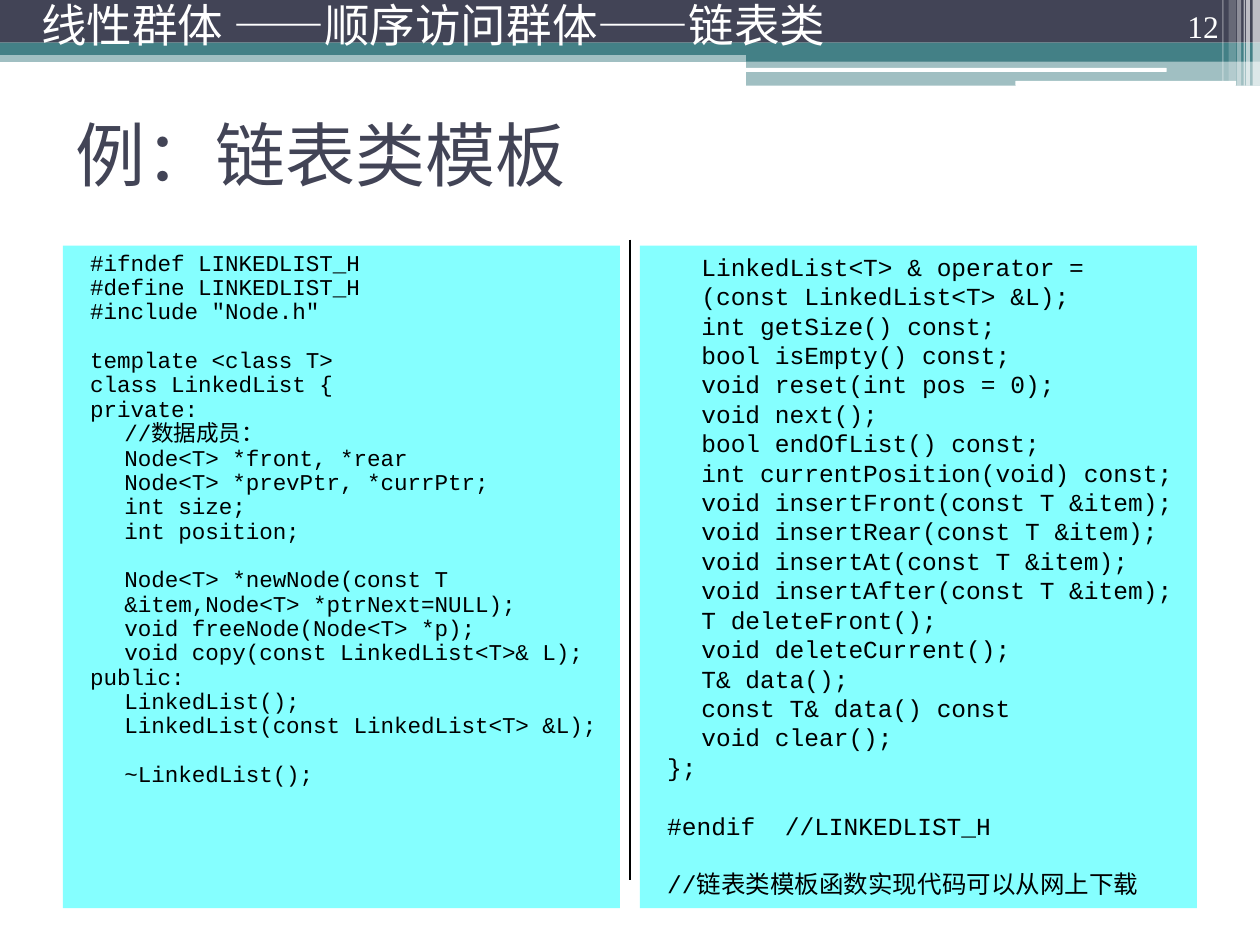
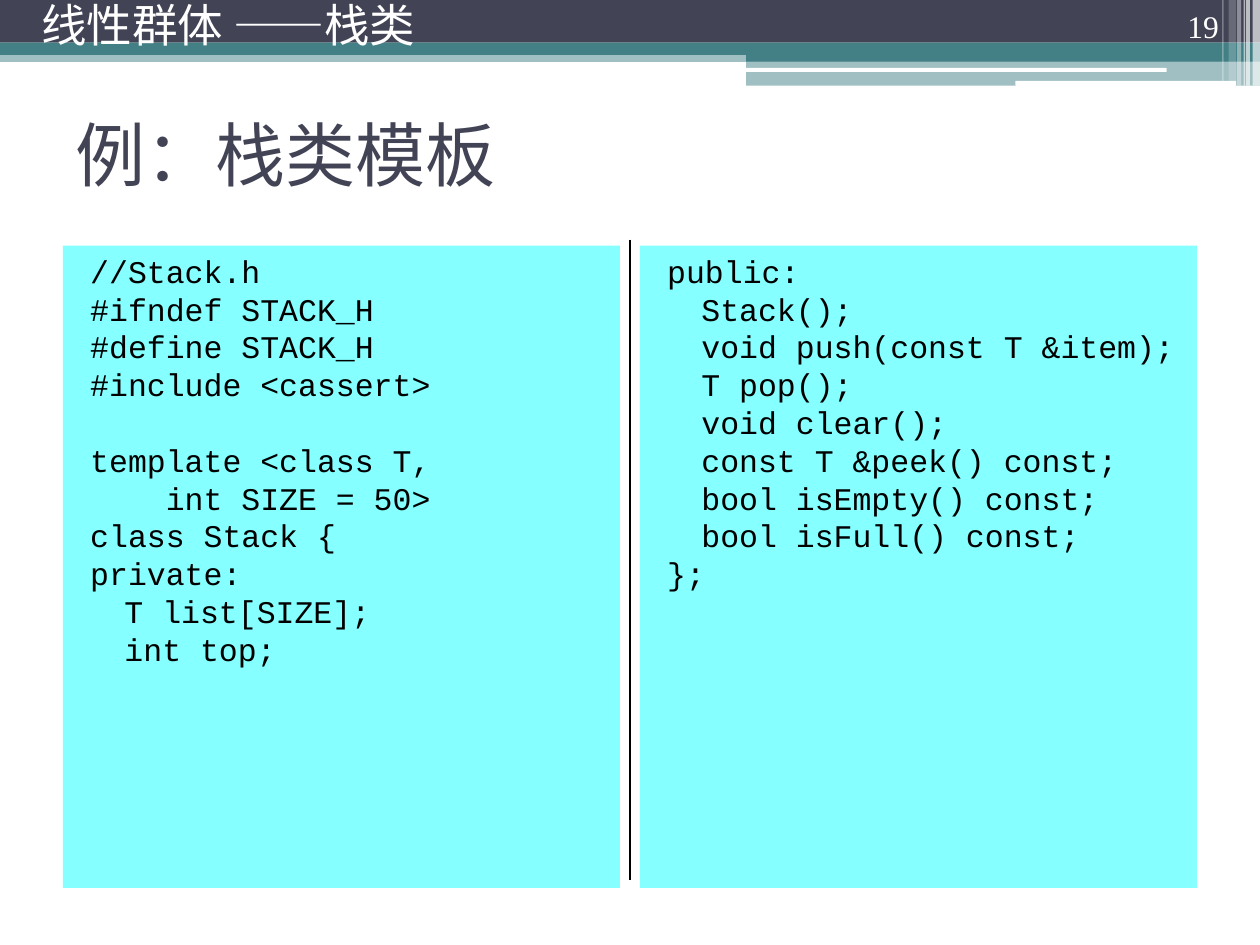
"""Build two lecture slides showing linked-list and stack class templates."""
import pptx
import pptx.dml.color
import pptx.enum.shapes
import pptx.enum.text
import pptx.oxml.ns
import pptx.oxml.xmlchemy
import pptx.util

Cm, Pt = pptx.util.Cm, pptx.util.Pt
SHAPES = pptx.enum.shapes.MSO_SHAPE
ALIGN = pptx.enum.text.PP_ALIGN
ANCHOR = pptx.enum.text.MSO_ANCHOR

COLOURS = {"slate": "424456", "teal": "438086", "white": "FFFFFF",
           "aqua": "85FFFF", "black": "000000"}
HEADING_FONT, CODE_FONT, NUMBER_FONT = "Cabin", "Courier New", "Times New Roman"
LINE_PITCH = 1.2

SLIDE_SIZE = (25.4, 19.05)
HEADER_BOX = (0.58, 0, 23.11, 1.19)
NUMBER_BOX = (22.71, 0, 2.11, 1.02)
TITLE_BOX = (1.27, 1.6, 22.86, 2.97)
BODY_LEFT, BODY_TOP, BODY_WIDTH = 1.27, 4.95, 22.86
PANEL_GAP = 0.4
DIVIDER_RISE, DIVIDER_LENGTH = 0.12, 12.9

BANDS = [
    (SHAPES.RECTANGLE, (0, 1.02, 25.4, 0.23), "teal", 50),
    (SHAPES.RECTANGLE, (0, 0, 25.4, 0.86), "slate", 100),
    (SHAPES.RECTANGLE, (0, 0.86, 25.4, 0.25), "teal", 100),
    (SHAPES.RECTANGLE, (15.04, 0.99, 10.36, 0.25), "teal", 100),
    (SHAPES.RECTANGLE, (15.04, 1.22, 10.36, 0.51), "teal", 50),
    (SHAPES.ROUNDED_RECTANGLE, (15.01, 1.37, 8.51, 0.08), "white", 100),
    (SHAPES.ROUNDED_RECTANGLE, (20.47, 1.63, 4.45, 0.1), "white", 100),
]
STRIPES = [(25.25, 0.15, 1.73, 65), (25.12, 0.08, 1.73, 65), (25.07, 0.03, 1.73, 60),
           (24.94, 0.08, 1.73, 40), (24.77, 0.15, 1.63, 20), (24.64, 0.03, 1.63, 30)]

LIST_DATA = """\
#ifndef LINKEDLIST_H
#define LINKEDLIST_H
#include "Node.h"

template <class T>
class LinkedList {
private:
\t//数据成员：
\tNode<T> *front, *rear
\tNode<T> *prevPtr, *currPtr;
\tint size;
\tint position;

\tNode<T> *newNode(const T &item,Node<T> *ptrNext=NULL);
\tvoid freeNode(Node<T> *p);
\tvoid copy(const LinkedList<T>& L);
public:
\tLinkedList();
\tLinkedList(const LinkedList<T> &L);

\t~LinkedList();"""

LIST_METHODS = """\
\tLinkedList<T> & operator = (const LinkedList<T> &L);
\tint getSize() const;
\tbool isEmpty() const;
\tvoid reset(int pos = 0);
\tvoid next();
\tbool endOfList() const;
\tint currentPosition(void) const;
\tvoid insertFront(const T &item);
\tvoid insertRear(const T &item);
\tvoid insertAt(const T &item);
\tvoid insertAfter(const T &item);
\tT deleteFront();
\tvoid deleteCurrent();
\tT& data();
\tconst T& data() const
\tvoid clear();
};

#endif  //LINKEDLIST_H

//链表类模板函数实现代码可以从网上下载"""

STACK_DATA = """\
//Stack.h
#ifndef STACK_H
#define STACK_H
#include <cassert>

template <class T,
    int SIZE = 50>
class Stack {
private:
\tT list[SIZE];
\tint top;"""

STACK_METHODS = """\
public:
\tStack();
\tvoid push(const T &item);
\tT pop();
\tvoid clear();
\tconst T &peek() const;
\tbool isEmpty() const;
\tbool isFull() const;
};"""


def rgb(name):
    """Return the named colour."""
    return pptx.dml.color.RGBColor.from_string(COLOURS[name])


def lengths(box):
    """Turn a box in centimetres into lengths."""
    return [Cm(value) for value in box]


def add_block(page, kind, box, colour, opacity=100):
    """Add a borderless filled shape."""
    block = page.shapes.add_shape(kind, *lengths(box))
    block.shadow.inherit = False
    block.fill.solid()
    block.fill.fore_color.rgb = rgb(colour)
    block.line.fill.background()
    if opacity < 100:
        tint = block.element.spPr.find(".//" + pptx.oxml.ns.qn("a:srgbClr"))
        alpha = pptx.oxml.xmlchemy.OxmlElement("a:alpha")
        alpha.set("val", str(opacity * 1000))
        tint.append(alpha)
    return block


def add_span(para, text, font, size, colour):
    """Append one formatted run."""
    span = para.add_run()
    span.text = text
    span.font.name = font
    span.font.size = Pt(size)
    span.font.color.rgb = rgb(colour)


def add_label(page, box, text, font, size, anchor, align=ALIGN.LEFT, spacing=1.0):
    """Add a white one-line label on the top band."""
    frame = page.shapes.add_textbox(*lengths(box)).text_frame
    frame.word_wrap = True
    frame.vertical_anchor = anchor
    para = frame.paragraphs[0]
    para.alignment = align
    para.line_spacing = spacing
    add_span(para, text, font, size, "white")


def add_title(page, text):
    """Fill the title placeholder."""
    frame = page.shapes.title.text_frame
    frame.vertical_anchor = ANCHOR.MIDDLE
    para = frame.paragraphs[0]
    para.alignment = ALIGN.LEFT
    add_span(para, text, HEADING_FONT, 40, "slate")


def add_code_panel(page, box, code, size, spacing=1.0):
    """Add a panel of code, turning each blank line into space before the next."""
    frame = add_block(page, SHAPES.RECTANGLE, box, "aqua").text_frame
    frame.word_wrap = True
    frame.vertical_anchor = ANCHOR.TOP
    para, gap = frame.paragraphs[0], 0
    for number, line in enumerate(code.split("\n")):
        if not line:
            gap = round(size * LINE_PITCH * spacing, 1)
            continue
        if number:
            para = frame.add_paragraph()
        properties = para._p.get_or_add_pPr()
        properties.set("marL", str(Cm(0.99)))
        properties.set("indent", str(-Cm(0.69)))
        para.alignment = ALIGN.LEFT
        para.line_spacing = spacing
        para.space_before = Pt(gap)
        add_span(para, line, CODE_FONT, size, "black")
        gap = 0


def add_divider(page, x, top):
    """Draw the thin vertical line between the panels."""
    line = page.shapes.add_connector(pptx.enum.shapes.MSO_CONNECTOR.STRAIGHT,
                                     *lengths((x, top, x, top + DIVIDER_LENGTH)))
    line.line.color.rgb = rgb("black")
    line.line.width = Pt(0.75)
    line.element.spPr.append(pptx.oxml.xmlchemy.OxmlElement("a:effectLst"))


def decorate_master(deck, page):
    """Draw the top bands and stripes once and move them to the master."""
    stripes = [(SHAPES.RECTANGLE, (x, 0, width, height), "white", opacity)
               for x, width, height, opacity in STRIPES]
    for number, band in enumerate(BANDS + stripes):
        element = add_block(page, *band).element
        element.xpath(".//p:cNvPr")[0].set("id", str(100 + number))
        deck.slide_master.shapes.element.append(element)


def add_code_slide(page, header, number, title, height, panels):
    """Fill a slide with its title and two code panels."""
    add_title(page, title)
    width = (BODY_WIDTH - PANEL_GAP) / 2
    for column, panel in enumerate(panels):
        left = BODY_LEFT + column * (width + PANEL_GAP)
        add_code_panel(page, (left, BODY_TOP, width, height), *panel)
    add_label(page, NUMBER_BOX, number, NUMBER_FONT, 18, ANCHOR.BOTTOM, ALIGN.RIGHT)
    add_divider(page, BODY_LEFT + BODY_WIDTH / 2, BODY_TOP - DIVIDER_RISE)
    add_label(page, HEADER_BOX, header, HEADING_FONT, 26, ANCHOR.MIDDLE, spacing=0.8)


def main():
    """Build and save the deck."""
    deck = pptx.Presentation()
    deck.slide_width, deck.slide_height = lengths(SLIDE_SIZE)
    layout = deck.slide_layouts.get_by_name("Title Only")
    heading = layout.placeholders[0]
    heading.left, heading.top, heading.width, heading.height = lengths(TITLE_BOX)
    list_page, stack_page = [deck.slides.add_slide(layout) for _ in range(2)]
    decorate_master(deck, list_page)
    add_code_slide(list_page, "线性群体 ——顺序访问群体——链表类", "12", "例：链表类模板",
                   13.36, [(LIST_DATA, 12.9, 0.9), (LIST_METHODS, 14)])
    add_code_slide(stack_page, "线性群体 ——栈类", "19", "例：栈类模板",
                   12.95, [(STACK_DATA, 18), (STACK_METHODS, 18)])
    deck.save("out.pptx")


if __name__ == "__main__":
    main()
